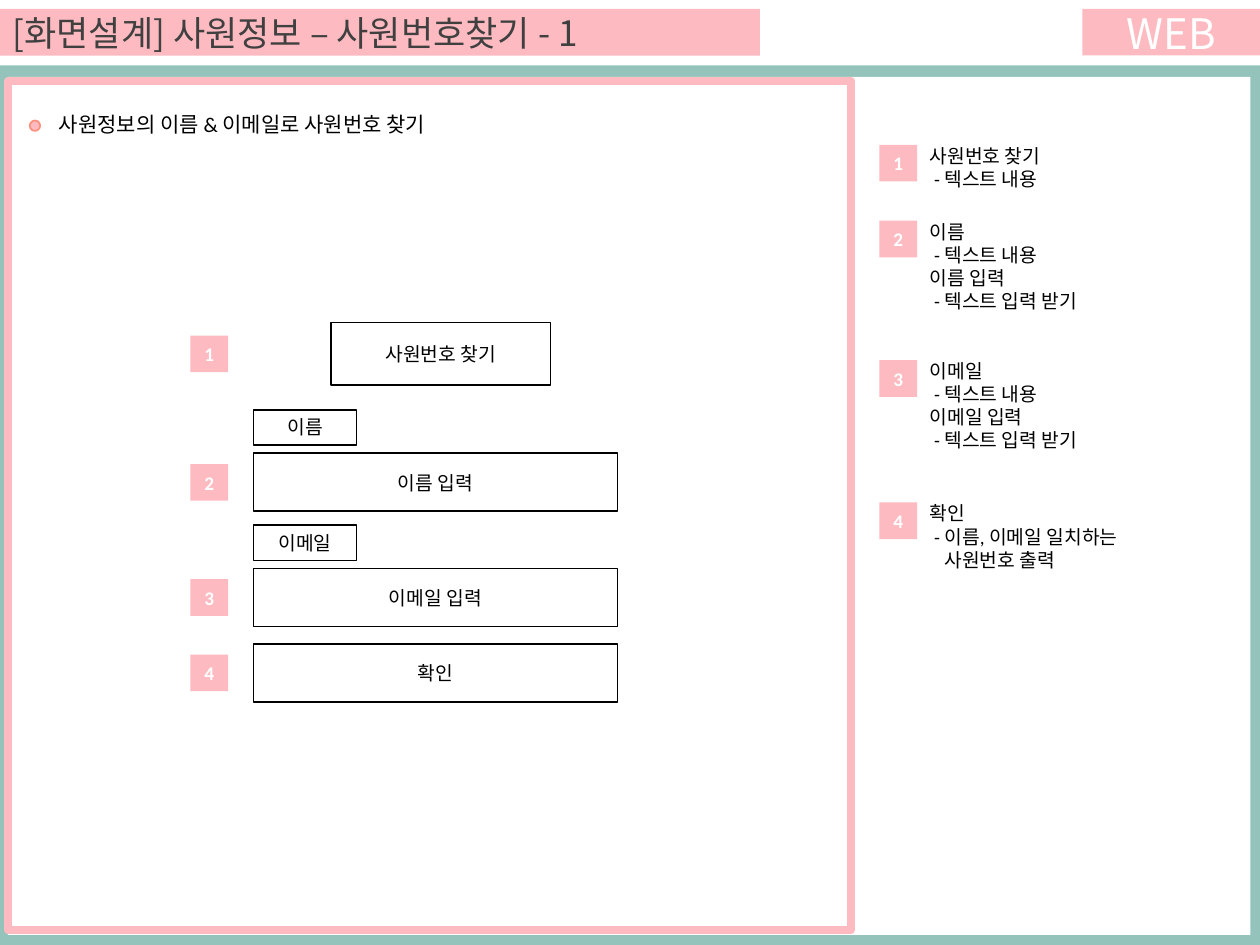
"""Build the screen design slide for finding an employee number."""
from pptx import Presentation
from pptx.dml.color import RGBColor
from pptx.enum.shapes import MSO_SHAPE
from pptx.enum.text import MSO_ANCHOR, MSO_AUTO_SIZE, PP_ALIGN
from pptx.util import Cm, Pt

RECT, OVAL = MSO_SHAPE.RECTANGLE, MSO_SHAPE.OVAL
MIDDLE, TOP = MSO_ANCHOR.MIDDLE, MSO_ANCHOR.TOP
CENTER, LEFT = PP_ALIGN.CENTER, PP_ALIGN.LEFT
NO_FIT, GROW = MSO_AUTO_SIZE.NONE, MSO_AUTO_SIZE.SHAPE_TO_FIT_TEXT

COLORS = {"teal": "94C3BB", "pink": "FDBBC1", "coral": "FE907E",
          "white": "FFFFFF", "black": "000000", "gray": "404040"}
BODY_FONT, HEAD_FONT = "Calibri", "Noto Sans CJK KR"

TITLE = "[화면설계] 사원정보 – 사원번호찾기 - 1"
PLATFORM = "WEB"
SUMMARY = "사원정보의 이름 & 이메일로 사원번호 찾기"

FIELD_LEFT, FIELD_SIZE, LABEL_SIZE = 5.11, (7.34, 1.17), (2.08, 0.71)
NUMBERED_BOXES = [
    ("사원번호 찾기", (6.68, 6.5, 4.42, 1.27)),
    ("이름 입력", (FIELD_LEFT, 9.14, *FIELD_SIZE)),
    ("이메일 입력", (FIELD_LEFT, 11.46, *FIELD_SIZE)),
    ("확인", (FIELD_LEFT, 12.98, *FIELD_SIZE)),
]
FIELD_LABELS = [
    ("이름", (FIELD_LEFT, 8.26, *LABEL_SIZE)),
    ("이메일", (FIELD_LEFT, 10.59, *LABEL_SIZE)),
]

INDENTS = [0, 0.09, 0.3]
LEGEND = [
    (2.92, 1.19, [(0, "사원번호 찾기"), (1, "- 텍스트 내용")]),
    (4.45, 2.13, [(0, "이름"), (1, "- 텍스트 내용"),
                  (0, "이름 입력"), (1, "- 텍스트 입력 받기")]),
    (7.26, 2.13, [(0, "이메일"), (1, "- 텍스트 내용"),
                  (0, "이메일 입력"), (1, "- 텍스트 입력 받기")]),
    (10.13, 1.68, [(0, "확인"), (1, "- 이름, 이메일 일치하는"),
                   (2, "사원번호 출력")]),
]
BADGE_WIDTH, BADGE_HEIGHT = 0.76, 0.74
SCREEN_BADGE_LEFT, LEGEND_BADGE_LEFT = 3.84, 17.73


def rgb(name):
    return RGBColor.from_string(COLORS[name])


def paint(shape, fill):
    shape.fill.solid()
    shape.fill.fore_color.rgb = rgb(fill)


def write(shape, lines, size, color, font=BODY_FONT, bold=False,
          align=LEFT, anchor=MIDDLE, fit=NO_FIT):
    frame = shape.text_frame
    frame.text = "\n".join(text for _, text in lines)
    frame.word_wrap = True
    frame.auto_size = fit
    frame.vertical_anchor = anchor
    for paragraph, (level, _) in zip(frame.paragraphs, lines):
        if level:
            paragraph._p.get_or_add_pPr().set("marL", str(Cm(INDENTS[level])))
        paragraph.alignment = align
        paragraph.font.name = font
        paragraph.font.size = Pt(size)
        paragraph.font.bold = bold
        paragraph.font.color.rgb = rgb(color)


def add_box(shapes, place, fill=None, line=None, weight=1, kind=RECT):
    box = shapes.add_shape(kind, *map(Cm, place))
    box.shadow.inherit = False
    if fill:
        paint(box, fill)
    else:
        box.fill.background()
    if line:
        box.line.color.rgb = rgb(line)
        box.line.width = Pt(weight)
    else:
        box.line.fill.background()
    return box


def add_badge(shapes, number, left, top):
    badge = add_box(shapes, (left, top, BADGE_WIDTH, BADGE_HEIGHT), "pink")
    write(badge, [(0, str(number))], 11, "white", bold=True, align=CENTER)


def add_wire_box(shapes, label, place):
    box = add_box(shapes, place, "white", "black")
    write(box, [(0, label)], 11, "black", align=CENTER)


def add_note(shapes, place, lines, size):
    note = shapes.add_textbox(*map(Cm, place))
    write(note, lines, size, "black", anchor=TOP, fit=GROW)


def main():
    deck = Presentation()
    deck.slide_width, deck.slide_height = Cm(25.4), Cm(19.05)
    slide = deck.slides.add_slide(deck.slide_layouts[5])
    shapes = slide.shapes

    title = shapes.title
    title.left, title.top, title.width, title.height = map(
        Cm, (0, 0.18, 15.32, 0.94))
    paint(title, "pink")
    write(title, [(0, TITLE)], 20, "gray", HEAD_FONT)
    platform = add_box(shapes, (21.82, 0.18, 3.58, 0.94), "pink")
    write(platform, [(0, PLATFORM)], 24, "white", HEAD_FONT, align=CENTER)

    frame = shapes.add_group_shape().shapes
    add_box(frame, (0, 1.32, 25.4, 17.73), "teal")
    add_box(frame, (0.16, 1.55, 25.05, 17.3), "white")
    add_box(frame, (0.16, 1.63, 17, 17.12), line="pink", weight=4.5)

    add_box(shapes, (0.6, 2.43, 0.21, 0.21), "pink", "coral", kind=OVAL)
    add_note(shapes, (0.94, 2.13, 9.8, 0.76), [(0, SUMMARY)], 12)

    for number, (label, place) in enumerate(NUMBERED_BOXES, 1):
        _, top, _, height = place
        add_badge(shapes, number, SCREEN_BADGE_LEFT,
                  top + (height - BADGE_HEIGHT) / 2)
        add_wire_box(shapes, label, place)
    for label, place in FIELD_LABELS:
        add_wire_box(shapes, label, place)

    for number, (top, height, lines) in enumerate(LEGEND, 1):
        entry = shapes.add_group_shape().shapes
        add_badge(entry, number, LEGEND_BADGE_LEFT, top)
        add_note(entry, (LEGEND_BADGE_LEFT + BADGE_WIDTH, top - 0.14,
                         6.73, height), lines, 11)

    deck.save("out.pptx")


if __name__ == "__main__":
    main()
